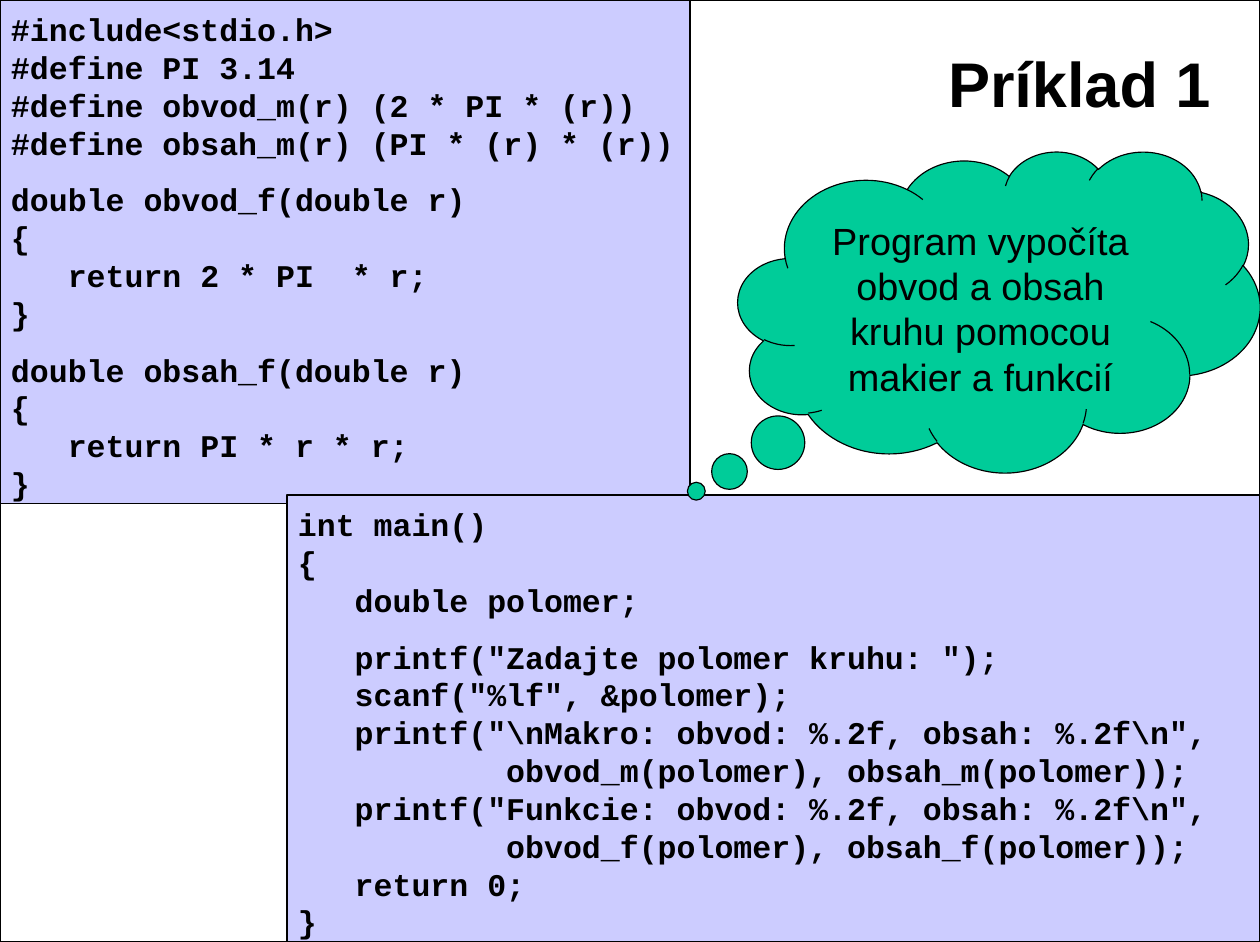
from pptx import Presentation
from pptx import util as u
from pptx.dml.color import RGBColor
from pptx.enum import shapes, text

EMU_PER_PX = 8056
SLIDE_WIDTH, SLIDE_HEIGHT = 1260, 942
BLACK, WHITE, LILAC, GREEN = "000000", "FFFFFF", "CCCCFF", "00CC99"
CODE = {"name": "Courier New", "size": u.Pt(20), "bold": True}
TITLE = {"name": "Arial", "size": u.Pt(40), "bold": True}
THOUGHT = {"name": "Arial", "size": u.Pt(24), "bold": False}

FUNCTIONS_CODE = """#include<stdio.h>
#define PI 3.14
#define obvod_m(r) (2 * PI * (r))
#define obsah_m(r) (PI * (r) * (r))

double obvod_f(double r)
{
   return 2 * PI  * r;
}

double obsah_f(double r)
{
   return PI * r * r;
}"""

MAIN_CODE = r"""int main()
{
   double polomer;

   printf("Zadajte polomer kruhu: ");
   scanf("%lf", &polomer);
   printf("\nMakro: obvod: %.2f, obsah: %.2f\n",
           obvod_m(polomer), obsah_m(polomer));
   printf("Funkcie: obvod: %.2f, obsah: %.2f\n",
           obvod_f(polomer), obsah_f(polomer));
   return 0;
}"""


def px(length):
    """Turn pixels into EMU."""
    return u.Emu(length * EMU_PER_PX)


def color(value):
    """Turn a hex string into a colour."""
    return RGBColor.from_string(value)


def add_outlined(slide, kind, box, fill):
    """Add a filled preset shape with a thin black outline."""
    shape = slide.shapes.add_shape(kind, *map(px, box))
    shape.shadow.inherit = False
    shape.fill.solid()
    shape.fill.fore_color.rgb = color(fill)
    shape.line.color.rgb = color(BLACK)
    shape.line.width = u.Pt(0.75)
    return shape


def set_frame(frame, insets, anchor, wrap=True):
    """Set the insets, anchor and wrapping of a text frame."""
    frame.word_wrap = wrap
    frame.vertical_anchor = anchor
    for side, inset in zip(("left", "top", "right", "bottom"), insets):
        setattr(frame, f"margin_{side}", px(inset))


def write(paragraph, content, font, align=text.PP_ALIGN.LEFT):
    """Fill a paragraph with black text in the given font."""
    paragraph.text = content
    paragraph.alignment = align
    for name, value in font.items():
        setattr(paragraph.font, name, value)
    paragraph.font.color.rgb = color(BLACK)


def add_code(slide, box, source):
    """Add a code panel with a half-line gap between its blocks."""
    shape = add_outlined(slide, shapes.MSO_SHAPE.RECTANGLE, box, LILAC)
    frame = shape.text_frame
    set_frame(frame, (11, 10, 11, 0), text.MSO_ANCHOR.TOP, wrap=False)
    for block_index, block in enumerate(source.split("\n\n")):
        for line_index, line in enumerate(block.split("\n")):
            is_first = block_index == line_index == 0
            paragraph = frame.paragraphs[0] if is_first else frame.add_paragraph()
            write(paragraph, line, CODE)
            paragraph.line_spacing = u.Pt(24)
            if block_index and not line_index:
                paragraph.space_before = u.Pt(12)


def add_title(slide, box, content):
    """Add the slide title."""
    frame = slide.shapes.add_textbox(*map(px, box)).text_frame
    set_frame(frame, (12, 10, 12, 6), text.MSO_ANCHOR.MIDDLE)
    write(frame.paragraphs[0], content, TITLE)


def add_thought(slide, box, content):
    """Add a thought cloud whose bubbles trail down to the left."""
    cloud = add_outlined(slide, shapes.MSO_SHAPE.CLOUD_CALLOUT, box, GREEN)
    cloud.adjustments[0], cloud.adjustments[1] = -0.58, 0.56
    set_frame(cloud.text_frame, (11, 14, 11, 6), text.MSO_ANCHOR.MIDDLE)
    paragraph = cloud.text_frame.paragraphs[0]
    write(paragraph, content, THOUGHT, text.PP_ALIGN.CENTER)
    paragraph.line_spacing = u.Pt(28.8)


def main():
    """Build the slide and save it."""
    presentation = Presentation()
    presentation.slide_width = px(SLIDE_WIDTH)
    presentation.slide_height = px(SLIDE_HEIGHT)
    slide = presentation.slides.add_slide(presentation.slide_layouts[6])
    page = (0, 0, SLIDE_WIDTH, SLIDE_HEIGHT)
    add_outlined(slide, shapes.MSO_SHAPE.RECTANGLE, page, WHITE)
    add_title(slide, (936, 28, 293, 104), "Príklad 1")
    add_code(slide, (0, 0, 690, 504), FUNCTIONS_CODE)
    add_code(slide, (287, 495, 973, 447), MAIN_CODE)
    add_thought(slide, (738, 151, 522, 321),
                "Program vypočíta obvod a obsah kruhu pomocou makier a funkcií")
    presentation.save("out.pptx")


if __name__ == "__main__":
    main()
